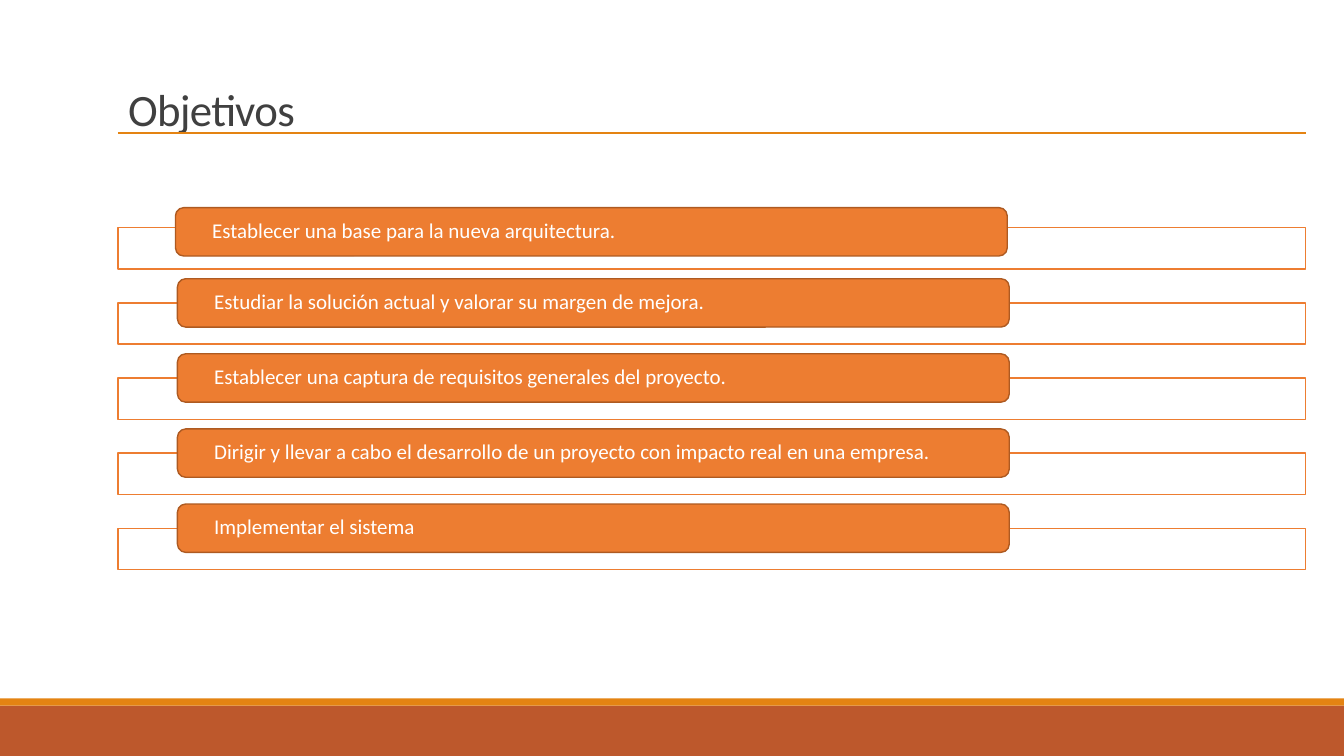
from dataclasses import dataclass

from lxml.etree import SubElement
from pptx import Presentation
from pptx.dml.color import RGBColor as Rgb
from pptx.enum.shapes import MSO_CONNECTOR as Connector, MSO_SHAPE as Shape
from pptx.enum.text import MSO_ANCHOR as Anchor, PP_ALIGN as Align
from pptx.oxml.ns import qn
from pptx.util import Inches, Pt


@dataclass(frozen=True)
class Theme:
    font: str = "Calibri"
    title_size: Pt = Pt(32)
    goal_size: Pt = Pt(15)
    hairline: Pt = Pt(1)
    title_ink: Rgb = Rgb(0x40, 0x40, 0x40)
    white: Rgb = Rgb(0xFF, 0xFF, 0xFF)
    rust: Rgb = Rgb(0xBD, 0x58, 0x2C)
    amber: Rgb = Rgb(0xE4, 0x83, 0x12)
    orange: Rgb = Rgb(0xED, 0x7D, 0x31)
    orange_edge: Rgb = Rgb(0xAE, 0x5A, 0x21)


THEME = Theme()
SLIDE_WIDTH = Inches(13.33)
LEFT = Inches(1.17)
RAIL_WIDTH = Inches(11.78)
RAIL_TOP = Inches(2.26)
LABEL_LEFT = Inches(1.76)
LABEL_TOP = Inches(2.02)
FIRST_LABEL_SHIFT = (Inches(-0.02), Inches(0.04))
GOAL_PITCH = Inches(2.98) // 4

GOALS = [
    "Establecer una base para la nueva arquitectura.",
    "Estudiar la solución actual y valorar su margen de mejora.",
    "Establecer una captura de requisitos generales del proyecto.",
    "Dirigir y llevar a cabo el desarrollo de un proyecto con impacto real en una empresa.",
    "Implementar el sistema",
]


def add_block(slide, preset, left, top, width, height, fill, edge=None):
    block = slide.shapes.add_shape(preset, left, top, width, height)
    block.shadow.inherit = False
    block.fill.solid()
    block.fill.fore_color.rgb = fill
    if edge is None:
        block.line.fill.background()
    else:
        block.line.color.rgb = edge
        block.line.width = THEME.hairline
    return block


def style_paragraph(paragraph, size, color, spacing):
    paragraph.alignment = Align.LEFT
    paragraph.line_spacing = spacing
    paragraph.font.name = THEME.font
    paragraph.font.size = size
    paragraph.font.color.rgb = color


def add_footer(slide):
    add_block(slide, Shape.RECTANGLE, 0, Inches(7), SLIDE_WIDTH, Inches(0.5), THEME.rust)
    add_block(slide, Shape.RECTANGLE, 0, Inches(6.93), SLIDE_WIDTH, Inches(0.07), THEME.amber)


def set_title(slide, text):
    title = slide.shapes.title
    title.left, title.top = LEFT, Inches(0.84)
    title.width, title.height = Inches(11), Inches(0.62)
    title.text_frame.text = text
    title.text_frame.vertical_anchor = Anchor.TOP
    heading = title.text_frame.paragraphs[0]
    style_paragraph(heading, THEME.title_size, THEME.title_ink, 0.85)
    heading.runs[0].font._element.set("spc", "-50")


def add_title_rule(slide):
    height = Inches(1.32)
    rule = slide.shapes.add_connector(
        Connector.STRAIGHT, LEFT, height, LEFT + RAIL_WIDTH, height
    )
    rule.line.color.rgb = THEME.amber
    rule.line.width = THEME.hairline
    SubElement(rule._element.spPr, qn("a:effectLst"))


def add_rail(slide, top):
    rail = add_block(
        slide, Shape.RECTANGLE, LEFT, top, RAIL_WIDTH, Inches(0.41), THEME.white, THEME.orange
    )
    color = rail._element.spPr.find(qn("a:solidFill")).find(qn("a:srgbClr"))
    SubElement(color, qn("a:alpha"), val="90000")


def add_label(slide, left, top, text):
    label = add_block(
        slide, Shape.ROUNDED_RECTANGLE, left, top, Inches(8.25), Inches(0.48),
        THEME.orange, THEME.orange_edge,
    )
    label.adjustments[0] = 0.17
    frame = label.text_frame
    frame.text = text
    frame.word_wrap = True
    frame.vertical_anchor = Anchor.MIDDLE
    frame.margin_left = frame.margin_right = Inches(0.34)
    frame.margin_top = frame.margin_bottom = Inches(0.02)
    goal = frame.paragraphs[0]
    style_paragraph(goal, THEME.goal_size, THEME.white, 0.9)
    goal.space_after = Pt(6)


def main():
    deck = Presentation()
    deck.slide_width, deck.slide_height = SLIDE_WIDTH, Inches(7.5)
    slide = deck.slides.add_slide(deck.slide_layouts[5])
    add_footer(slide)
    set_title(slide, "Objetivos")
    add_title_rule(slide)
    for index, goal in enumerate(GOALS):
        offset = index * GOAL_PITCH
        shift_x, shift_y = FIRST_LABEL_SHIFT if index == 0 else (0, 0)
        add_rail(slide, RAIL_TOP + offset)
        add_label(slide, LABEL_LEFT + shift_x, LABEL_TOP + offset + shift_y, goal)
    deck.save("out.pptx")


if __name__ == "__main__":
    main()
